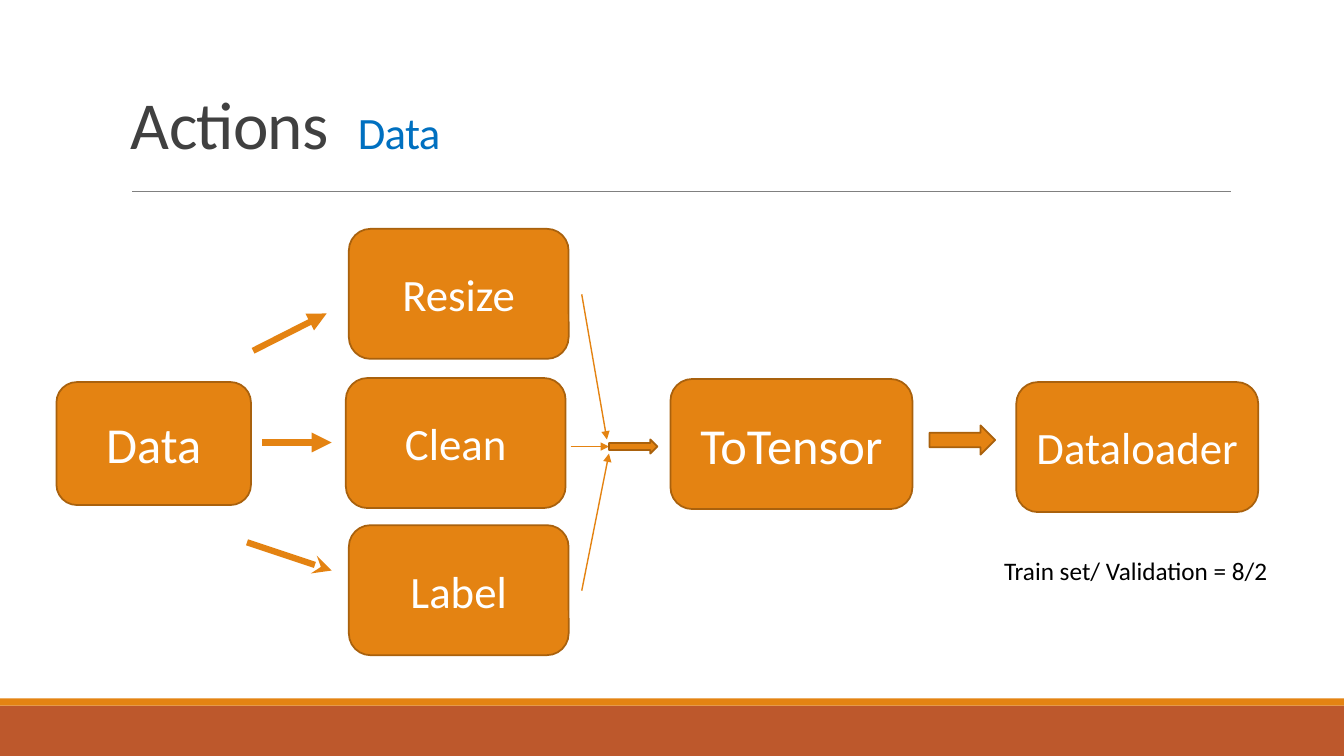
from pptx import Presentation
from pptx.dml.color import RGBColor
from pptx.enum.shapes import MSO_CONNECTOR, MSO_SHAPE as SHAPE
from pptx.enum.text import MSO_ANCHOR as ANCHOR, PP_ALIGN
from pptx.oxml.ns import qn
from pptx.util import Inches, Pt
from lxml.etree import SubElement

ORANGE = RGBColor(0xE4, 0x83, 0x12)
BROWN = RGBColor(0xA9, 0x61, 0x0D)
RUST = RGBColor(0xBD, 0x58, 0x2C)
GRAY = RGBColor(0x80, 0x80, 0x80)
DARK = RGBColor(0x40, 0x40, 0x40)
BLUE = RGBColor(0x00, 0x70, 0xC0)
BLACK = RGBColor(0, 0, 0)
WHITE = RGBColor(0xFF, 0xFF, 0xFF)

prs = Presentation()
prs.slide_width, prs.slide_height = Inches(13.33), Inches(7.5)
s = prs.slides.add_slide(prs.slide_layouts[6])


def add_run(p, text, size, color):
    r = p.add_run()
    r.text = text
    r.font.name, r.font.size = "Calibri", Pt(size)
    r.font.color.rgb = color
    return r


def add_filled(kind, box, fill, outline=None):
    sp = s.shapes.add_shape(kind, *map(Inches, box))
    sp.shadow.inherit = False
    sp.fill.solid()
    sp.fill.fore_color.rgb = fill
    if outline is None:
        sp.line.fill.background()
    else:
        sp.line.color.rgb, sp.line.width = outline, Pt(1.25)
    return sp


# Footer bands
add_filled(SHAPE.RECTANGLE, (0, 7, 13.33, 0.5), RUST)
add_filled(SHAPE.RECTANGLE, (0, 6.93, 13.33, 0.07), ORANGE)

# Title
tf = s.shapes.add_textbox(*map(Inches, (1.2, 0.85, 11, 0.82))).text_frame
tf.word_wrap = True
tf.vertical_anchor = ANCHOR.BOTTOM
p = tf.paragraphs[0]
p.line_spacing = 0.85
for text, size, color in (("Actions  ", 48, DARK), ("Data", 32, BLUE)):
    r = add_run(p, text, size, color)
    r.font._element.set("spc", "-50")

# Pipeline steps: left edge and width of each column, top of each row
DATA, PREP, TENSOR, LOADER = (0.56, 1.93), (3.46, 2.18), (6.65, 2.4), (10.08, 2.4)
STEP_H = 1.29
steps = [
    ("Data", 36, SHAPE.FLOWCHART_ALTERNATE_PROCESS, DATA, 3.79, 1.22),
    ("Resize", 32, SHAPE.ROUNDED_RECTANGLE, PREP, 2.27, STEP_H),
    ("Clean", 32, SHAPE.ROUNDED_RECTANGLE, (3.43, 2.18), 3.75, STEP_H),
    ("Label", 32, SHAPE.ROUNDED_RECTANGLE, PREP, 5.21, STEP_H),
    ("ToTensor", 36, SHAPE.ROUNDED_RECTANGLE, TENSOR, 3.76, STEP_H),
    ("Dataloader", 32, SHAPE.ROUNDED_RECTANGLE, LOADER, 3.79, STEP_H),
]
for text, size, kind, (left, width), top, height in steps:
    sp = add_filled(kind, (left, top, width, height), ORANGE, BROWN)
    tf = sp.text_frame
    tf.word_wrap = True
    tf.vertical_anchor = ANCHOR.MIDDLE
    p = tf.paragraphs[0]
    p.alignment = PP_ALIGN.CENTER
    add_run(p, text, size, WHITE)

# Title rule, arrows fanning out from Data, arrows merging before ToTensor
lines = [
    (1.31, 1.9, 12.21, 1.9, GRAY, 0.5, None),
    (2.51, 3.48, 3.24, 3.11, ORANGE, 4.5, "triangle"),
    (2.6, 4.39, 3.29, 4.39, ORANGE, 4.75, "triangle"),
    (2.45, 5.38, 3.29, 5.66, ORANGE, 4.5, "stealth"),
    (5.77, 2.92, 6.02, 4.36, ORANGE, 1, "triangle"),
    (5.66, 4.43, 6.04, 4.43, ORANGE, 1, "triangle"),
    (5.77, 5.86, 6.04, 4.5, ORANGE, 1, "triangle"),
]
for *ends, color, width, head in lines:
    cn = s.shapes.add_connector(MSO_CONNECTOR.STRAIGHT, *map(Inches, ends))
    cn.line.color.rgb, cn.line.width = color, Pt(width)
    if head:
        SubElement(cn.line._get_or_add_ln(), qn("a:tailEnd"), type=head)
    SubElement(cn._element.spPr, qn("a:effectLst"))

# Block arrows
for box in ((6.04, 4.36, 0.48, 0.14), (9.22, 4.22, 0.65, 0.29)):
    add_filled(SHAPE.RIGHT_ARROW, box, ORANGE, BROWN)

# Split note
tf = s.shapes.add_textbox(*map(Inches, (9.86, 5.46, 3.03, 0.4))).text_frame
tf.word_wrap = True
add_run(tf.paragraphs[0], "Train set/ Validation = 8/2", 18, BLACK)

prs.save("out.pptx")
